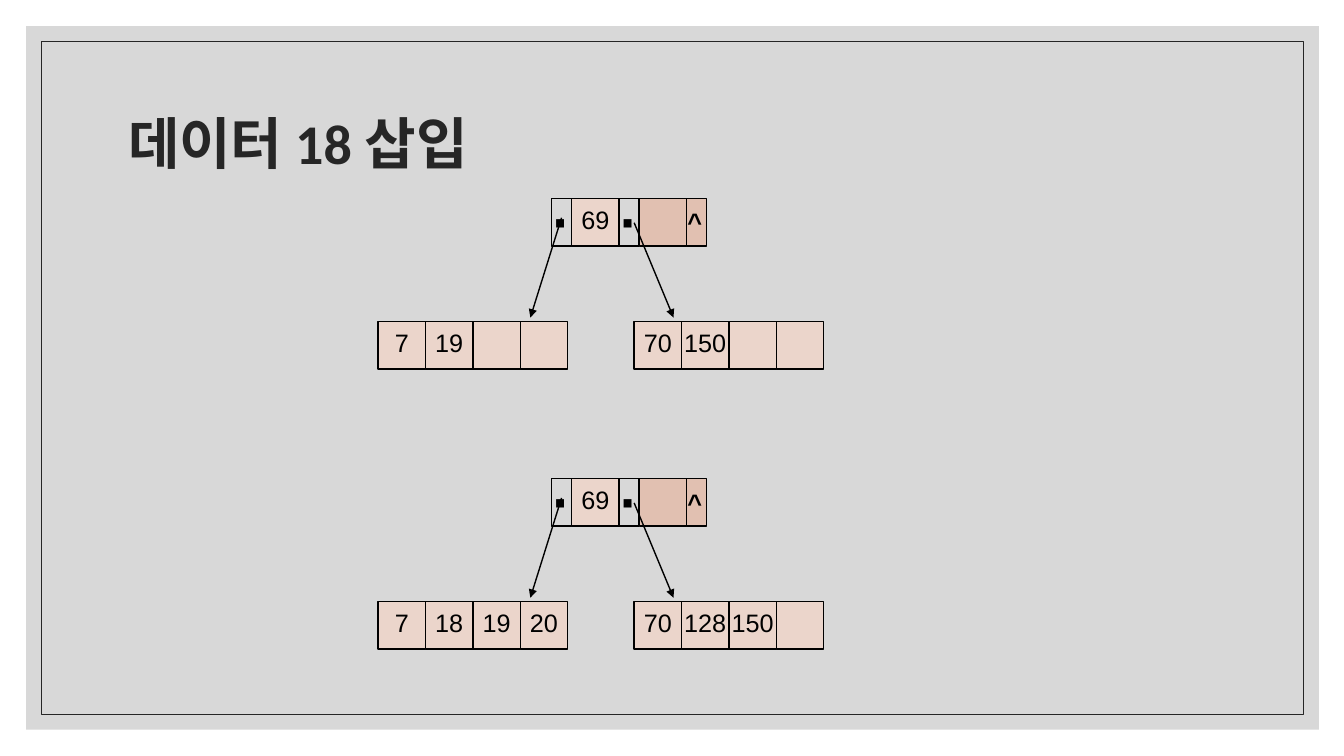
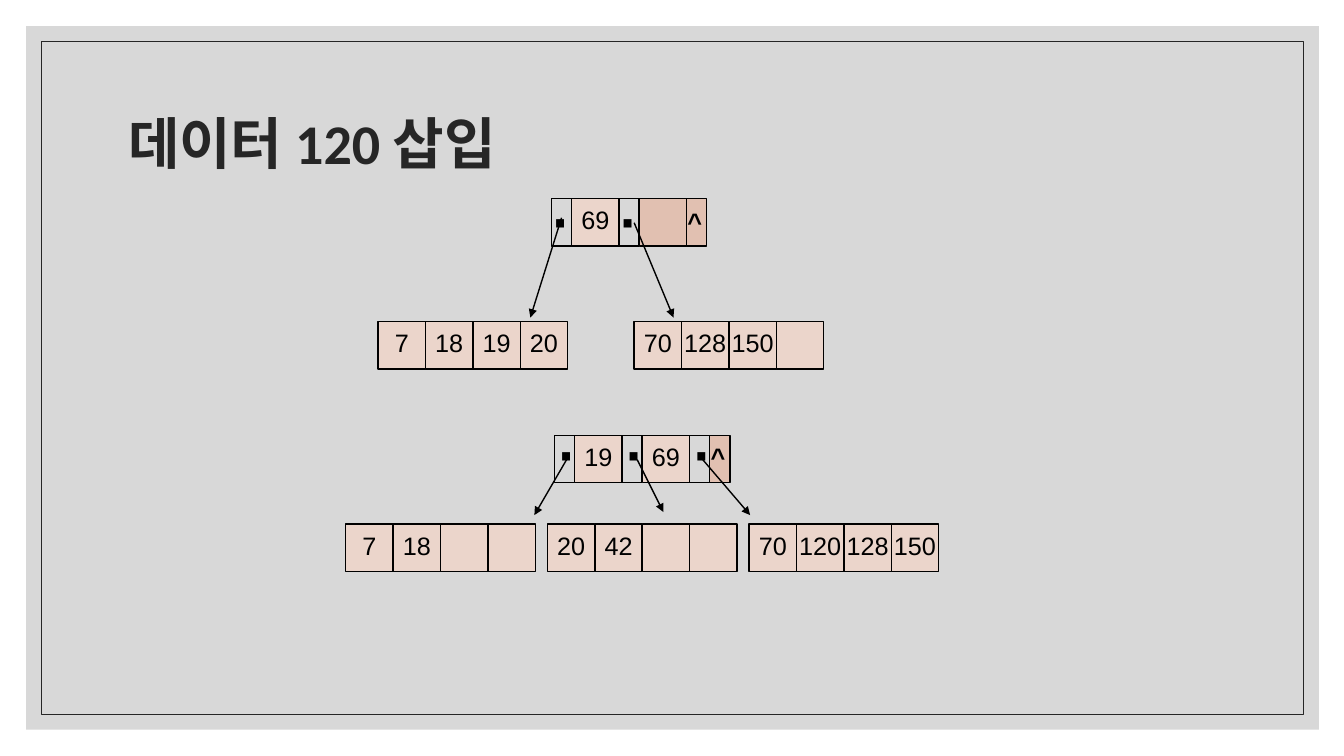
from dataclasses import dataclass

from lxml import etree
from pptx import Presentation
from pptx.dml import color
from pptx.enum import shapes, text
from pptx.oxml import ns
from pptx.util import Inches, Pt


@dataclass(frozen=True)
class Theme:
    ink: str = "000000"
    dark: str = "262626"
    band: str = "BFBFBF"
    key: str = "EBD5CB"
    unused: str = "E1C0B1"
    title_font: str = "Calibri"
    body_font: str = "Arial"
    title_size: int = 40
    key_size: int = 18
    dot_size: int = 40
    line: float = 1
    frame_line: float = 0.5


T = Theme()
CELL, POINTER = 0.47, 0.2


def add_box(parent, x, y, w, h, fill=None, line=T.ink, width=T.line):
    sp = parent.shapes.add_shape(shapes.MSO_SHAPE.RECTANGLE, Inches(x), Inches(y), Inches(w), Inches(h))
    sp.shadow.inherit = False
    if fill:
        sp.fill.solid()
        sp.fill.fore_color.rgb = color.RGBColor.from_string(fill)
    else:
        sp.fill.background()
    if line:
        sp.line.color.rgb = color.RGBColor.from_string(line)
        sp.line.width = Pt(width)
    else:
        sp.line.fill.background()
    return sp


def write(sp, words, size, bold=False, align=None):
    tf = sp.text_frame
    tf.word_wrap = False
    p = tf.paragraphs[0]
    p.text = words
    p.alignment = align
    p.line_spacing = 0.8
    p.space_before = Pt(size * 0.2)
    p.font.name = T.body_font
    p.font.size = Pt(size)
    p.font.bold = bold
    p.font.color.rgb = color.RGBColor.from_string(T.ink)
    return tf


one_key = {
    "root": ["·", "69", "·", "", "^"],
    "dot": (-0.09, -0.04),
    "caret": (-0.09, 0.09),
    "arrows": [(0.1, 0.19, -0.21, 1.18), (0.82, 0.24, 1.21, 1.18)],
    "leaf_top": 1.22,
    "leaf_lefts": [-1.72, 0.82],
}
two_keys = {
    "root": ["·", "19", "·", "69", "·", "^"],
    "dot": (-0.06, -0.08),
    "caret": (-0.09, 0.07),
    "arrows": [(0.12, 0.24, -0.2, 0.79), (0.82, 0.24, 1.08, 0.76), (1.47, 0.24, 1.94, 0.79)],
    "leaf_top": 0.88,
    "leaf_lefts": [-2.07, -0.07, 1.93],
}
full_leaves = [["7", "18", "19", "20"], ["70", "128", "150", ""]]
pages = [
    ("데이터 18 삽입", [
        (5.47, 1.97, one_key, [["7", "19", "", ""], ["70", "150", "", ""]]),
        (5.47, 4.75, one_key, full_leaves),
    ]),
    ("데이터 120 삽입", [
        (5.47, 1.97, one_key, full_leaves),
        (5.5, 4.32, two_keys, [["7", "18", "", ""], ["20", "42", "", ""], ["70", "120", "128", "150"]]),
    ]),
]

prs = Presentation()
prs.slide_width, prs.slide_height = Inches(13.33), Inches(7.5)
layout = prs.slide_layouts[5]
for ph in list(layout.placeholders):
    if ph.placeholder_format.type != shapes.PP_PLACEHOLDER.TITLE:
        ph.element.getparent().remove(ph.element)

slides = [prs.slides.add_slide(layout) for page in pages]
band = add_box(slides[0], 0.26, 0.26, 12.82, 6.98, T.band, None)
tint = band.element.spPr.find(".//" + ns.qn("a:srgbClr"))
etree.SubElement(tint, ns.qn("a:alpha"), val="60000")
frame = add_box(slides[0], 0.41, 0.41, 12.52, 6.68, None, T.dark, T.frame_line)
for sp in (band, frame):
    layout.shapes.element.append(sp.element)

for s, (heading, trees) in zip(slides, pages):
    title = s.shapes.title
    title.left, title.top, title.width, title.height = Inches(1.17), Inches(0.7), Inches(11), Inches(1.5)
    tf = title.text_frame
    tf.vertical_anchor = text.MSO_ANCHOR.MIDDLE
    p = tf.paragraphs[0]
    p.text = heading
    p.alignment = text.PP_ALIGN.LEFT
    p.line_spacing = 0.9
    p.font.name = T.title_font
    p.font.size = Pt(T.title_size)
    p.font.bold = True
    p.font.color.rgb = color.RGBColor.from_string(T.dark)

    for left, top, kind, leaves in trees:
        for offset, keys in zip(kind["leaf_lefts"], leaves):
            for i, key in enumerate(keys):
                sp = add_box(s, left + offset + i * CELL, top + kind["leaf_top"], CELL, CELL, T.key)
                if key:
                    tf = write(sp, key, T.key_size, align=text.PP_ALIGN.CENTER)
                    tf.vertical_anchor = text.MSO_ANCHOR.MIDDLE

        node = s.shapes.add_group_shape()
        x = left
        marks = []
        for part in kind["root"]:
            width = POINTER if part in ("·", "^") else CELL
            fill = None if part == "·" else T.key if part.isdigit() else T.unused
            sp = add_box(node, x, top, width, CELL, fill)
            if part.isdigit():
                tf = write(sp, part, T.key_size, align=text.PP_ALIGN.CENTER)
                tf.vertical_anchor = text.MSO_ANCHOR.MIDDLE
            elif part:
                marks.append((part, x))
            x += width

        for mark, x in marks:
            if mark == "·":
                (dx, dy), w, h, size = kind["dot"], 0.35, 0.64, T.dot_size
            else:
                (dx, dy), w, h, size = kind["caret"], 0.38, 0.34, T.key_size
            sp = node.shapes.add_textbox(Inches(x + dx), Inches(top + dy), Inches(w), Inches(h))
            tf = write(sp, mark, size, bold=True)
            tf.auto_size = text.MSO_AUTO_SIZE.SHAPE_TO_FIT_TEXT

        for x1, y1, x2, y2 in kind["arrows"]:
            arrow = node.shapes.add_connector(
                shapes.MSO_CONNECTOR.STRAIGHT,
                Inches(left + x1), Inches(top + y1), Inches(left + x2), Inches(top + y2))
            arrow.line.color.rgb = color.RGBColor.from_string(T.ink)
            arrow.line.width = Pt(T.line)
            etree.SubElement(arrow.line._get_or_add_ln(), ns.qn("a:tailEnd"), type="triangle")
            etree.SubElement(arrow.element.spPr, ns.qn("a:effectLst"))

prs.save("out.pptx")
